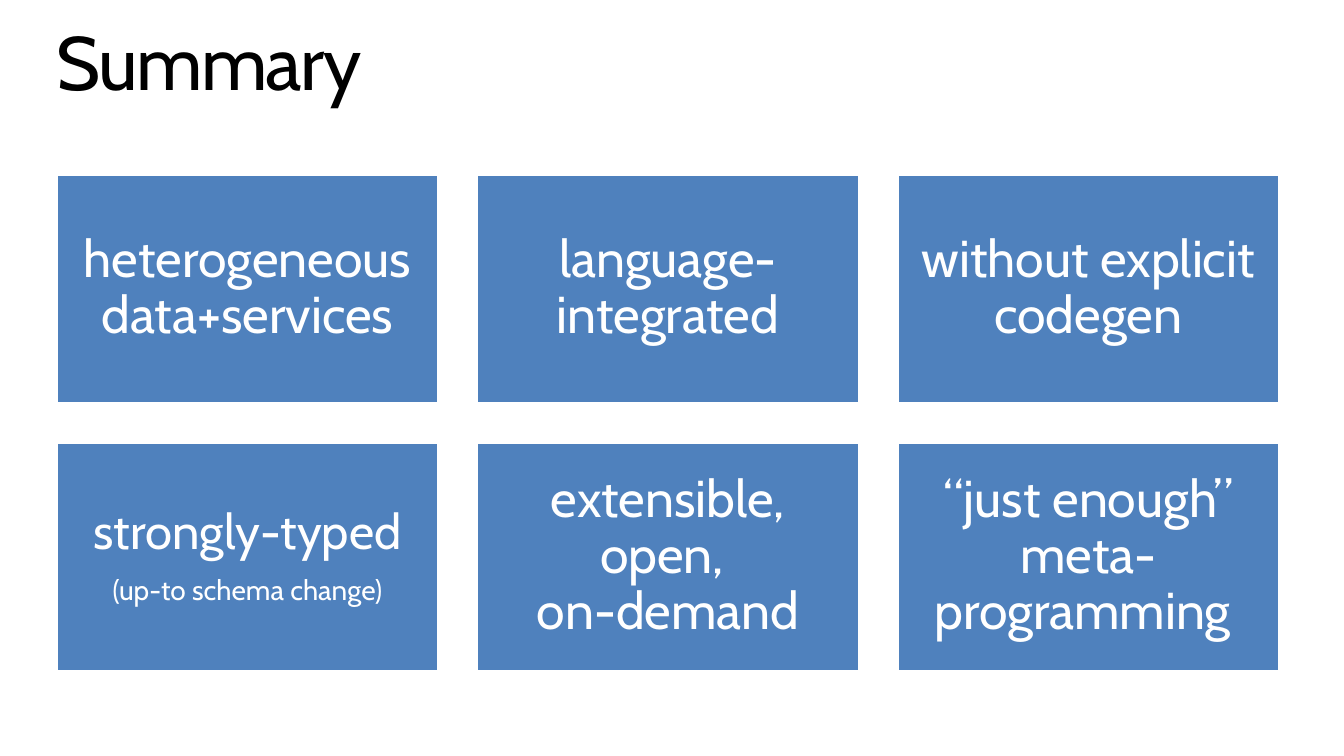
from pptx import Presentation
from pptx import util as u
from pptx.dml.color import RGBColor
from pptx.enum import shapes, text

COLORS = {"title": "000000", "tile": "4F81BD", "white": "FFFFFF"}
COLUMNS = 3
LEFT, TOP = 0.56, 1.73
TILE_WIDTH, TILE_HEIGHT = 3.79, 2.27
STEP_X, STEP_Y = 4.17, 2.66

# Each tile is a list of (text, size) paragraphs.
TILES = [
    [("heterogeneous data+services", 37)],
    [("language-integrated", 37)],
    [("without explicit codegen", 37)],
    [("strongly-typed", 35), ("(up-to schema change)", 20)],
    [("extensible, open, \non-demand", 37)],
    [("“just enough” meta-programming ", 37)],
]


class SlideBuilder:
    font = "Cabin"
    line_spacing = 0.9

    def __init__(self, slide):
        self.slide = slide

    def color(self, name):
        return RGBColor.from_string(COLORS[name])

    def frame(self, shape, margin, anchor):
        frame = shape.text_frame
        frame.word_wrap = True
        frame.vertical_anchor = anchor
        frame.margin_left = frame.margin_right = u.Inches(margin)
        frame.margin_top = frame.margin_bottom = u.Inches(margin)
        return frame

    def add_text(self, paragraph, content, size, color, spacing=None):
        """Fill a paragraph; spacing is in hundredths of a point."""
        paragraph.line_spacing = self.line_spacing
        for index, line in enumerate(content.split("\n")):
            if index:
                paragraph.add_line_break()
            run = paragraph.add_run()
            run.text = line
            run.font.name = self.font
            run.font.size = u.Pt(size)
            run.font.color.rgb = self.color(color)
            if spacing is not None:
                run.font._element.set("spc", str(spacing))

    def title(self, content):
        shape = self.slide.shapes.add_textbox(
            u.Inches(LEFT), u.Inches(0.25), u.Inches(12.22), u.Inches(0.82))
        frame = self.frame(shape, 0, text.MSO_ANCHOR.TOP)
        self.add_text(frame.paragraphs[0], content, 54, "title", spacing=-120)

    def tile(self, left, top, paragraphs):
        shape = self.slide.shapes.add_shape(
            shapes.MSO_SHAPE.RECTANGLE, u.Inches(left), u.Inches(top),
            u.Inches(TILE_WIDTH), u.Inches(TILE_HEIGHT))
        shape.shadow.inherit = False
        shape.fill.solid()
        shape.fill.fore_color.rgb = self.color("tile")
        shape.line.color.rgb = self.color("white")
        shape.line.width = u.Pt(2)
        frame = self.frame(shape, 0.15, text.MSO_ANCHOR.MIDDLE)
        for index, (content, size) in enumerate(paragraphs):
            paragraph = frame.add_paragraph() if index else frame.paragraphs[0]
            paragraph.alignment = text.PP_ALIGN.CENTER
            paragraph.space_after = u.Pt(round(size * 0.35))
            self.add_text(paragraph, content, size, "white")


def main():
    presentation = Presentation()
    presentation.slide_width = u.Inches(13.33)
    presentation.slide_height = u.Inches(7.5)
    builder = SlideBuilder(
        presentation.slides.add_slide(presentation.slide_layouts[6]))
    builder.title("Summary")
    for index, paragraphs in enumerate(TILES):
        row, column = divmod(index, COLUMNS)
        builder.tile(LEFT + column * STEP_X, TOP + row * STEP_Y, paragraphs)
    presentation.save("out.pptx")


if __name__ == "__main__":
    main()
